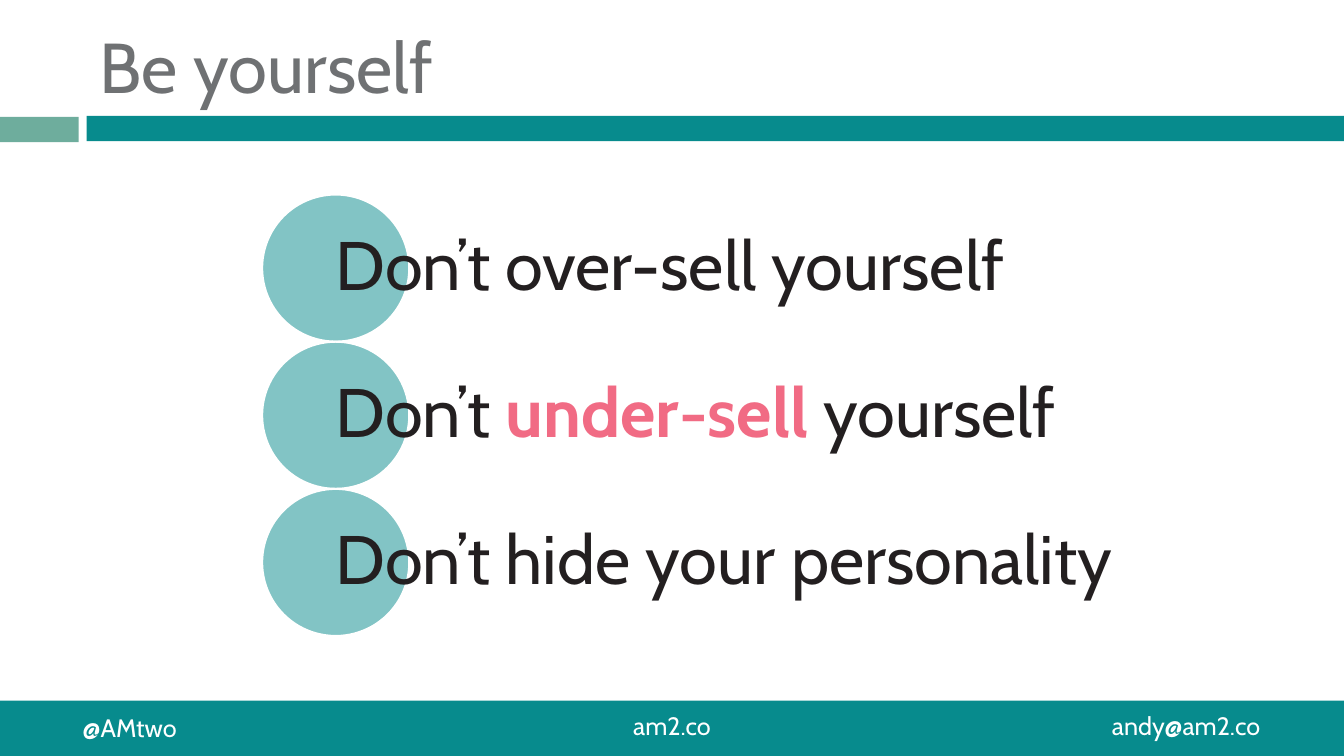
from dataclasses import dataclass

from lxml import etree
from pptx import Presentation
from pptx.dml.color import RGBColor
from pptx.enum.shapes import MSO_SHAPE
from pptx.enum.text import MSO_ANCHOR, MSO_AUTO_SIZE, PP_ALIGN
from pptx.oxml.ns import qn
from pptx.util import Inches, Pt

COLORS = {
    "teal": "078B8D",
    "sage": "6EAD9D",
    "pink": "F16B84",
    "ink": "231F20",
    "gray": "6F7173",
    "white": "FFFFFF",
}
FONT = "Cabin"


@dataclass
class Bar:
    left: float
    top: float
    width: float
    height: float
    color: str


@dataclass
class Contact:
    text: str
    left: float
    top: float
    width: float
    align: PP_ALIGN = PP_ALIGN.LEFT


@dataclass
class Advice:
    before: str
    accent: str = ""
    after: str = ""


BARS = [
    Bar(0, 1.16, 0.78, 0.25, "sage"),
    Bar(0.86, 1.15, 12.47, 0.25, "teal"),
    Bar(0, 6.95, 13.33, 0.55, "teal"),
]
CONTACTS = [
    Contact("@AMtwo", 0.72, 7.02, 1.3),
    Contact("am2.co", 5.74, 7, 1.85, PP_ALIGN.CENTER),
    Contact("andy@am2.co", 10.93, 7, 1.85),
]
ADVICE = [
    Advice("Don’t over-sell yourself"),
    Advice("Don’t ", "under-sell ", "yourself"),
    Advice("Don’t hide your personality"),
]
CIRCLE_LEFT, CIRCLE_TOP, CIRCLE_SIZE = 2.6, 1.93, 1.46


def rgb(name: str) -> RGBColor:
    return RGBColor.from_string(COLORS[name])


def style_font(font, size: float, color: str, bold: bool = False) -> None:
    font.name = FONT
    font.size = Pt(size)
    font.bold = bold
    font.color.rgb = rgb(color)


def add_filled(slide, kind: MSO_SHAPE, box: tuple, color: str):
    sp = slide.shapes.add_shape(kind, *map(Inches, box))
    sp.shadow.inherit = False
    sp.fill.solid()
    sp.fill.fore_color.rgb = rgb(color)
    sp.line.fill.background()
    return sp


def add_contact(slide, contact: Contact) -> None:
    sp = slide.shapes.add_textbox(*map(Inches, (contact.left, contact.top, contact.width, 0.4)))
    tf = sp.text_frame
    tf.word_wrap = True
    tf.text = contact.text
    p = tf.paragraphs[0]
    p.alignment = contact.align
    style_font(p.runs[0].font, 18, "white")


def add_advice(slide, advice: Advice, top: float) -> None:
    # Half-transparent circle
    box = (CIRCLE_LEFT, top, CIRCLE_SIZE, CIRCLE_SIZE)
    circle = add_filled(slide, MSO_SHAPE.OVAL, box, "teal")
    color = circle.fill._xPr.find(qn("a:solidFill"))[0]
    etree.SubElement(color, qn("a:alpha")).set("val", "50000")
    circle.line.color.rgb = rgb("white")
    circle.line.width = Pt(1.5)

    # Text starting at the circle's centre
    left = CIRCLE_LEFT + CIRCLE_SIZE / 2
    sp = slide.shapes.add_textbox(*map(Inches, (left, top, 7.78, CIRCLE_SIZE)))
    tf = sp.text_frame
    tf.word_wrap = True
    tf.vertical_anchor = MSO_ANCHOR.MIDDLE
    tf.margin_left = tf.margin_right = 0
    tf.margin_top = tf.margin_bottom = Inches(0.07)
    p = tf.paragraphs[0]
    p.line_spacing = 0.9
    for text, is_accent in ((advice.before, False), (advice.accent, True), (advice.after, False)):
        if text:
            r = p.add_run()
            r.text = text
            style_font(r.font, 49, "pink" if is_accent else "ink", is_accent)


def add_title(slide, text: str) -> None:
    sp = slide.shapes.title
    sp.left, sp.top, sp.width, sp.height = map(Inches, (0.89, 0.1, 11.89, 1.02))
    tf = sp.text_frame
    tf.text = text
    tf.word_wrap = True
    tf.auto_size = MSO_AUTO_SIZE.NONE
    tf.vertical_anchor = MSO_ANCHOR.BOTTOM
    p = tf.paragraphs[0]
    p.alignment = PP_ALIGN.LEFT
    style_font(p.runs[0].font, 50.4, "gray")


def main() -> None:
    prs = Presentation()
    prs.slide_width, prs.slide_height = Inches(13.33), Inches(7.5)
    slide = prs.slides.add_slide(prs.slide_layouts[5])

    # Header and footer bars
    for bar in BARS:
        box = (bar.left, bar.top, bar.width, bar.height)
        add_filled(slide, MSO_SHAPE.RECTANGLE, box, bar.color)
    for contact in CONTACTS:
        add_contact(slide, contact)

    # Title and advice list
    add_title(slide, "Be yourself")
    for i, advice in enumerate(ADVICE):
        add_advice(slide, advice, CIRCLE_TOP + i * CIRCLE_SIZE)

    prs.save("out.pptx")


if __name__ == "__main__":
    main()
